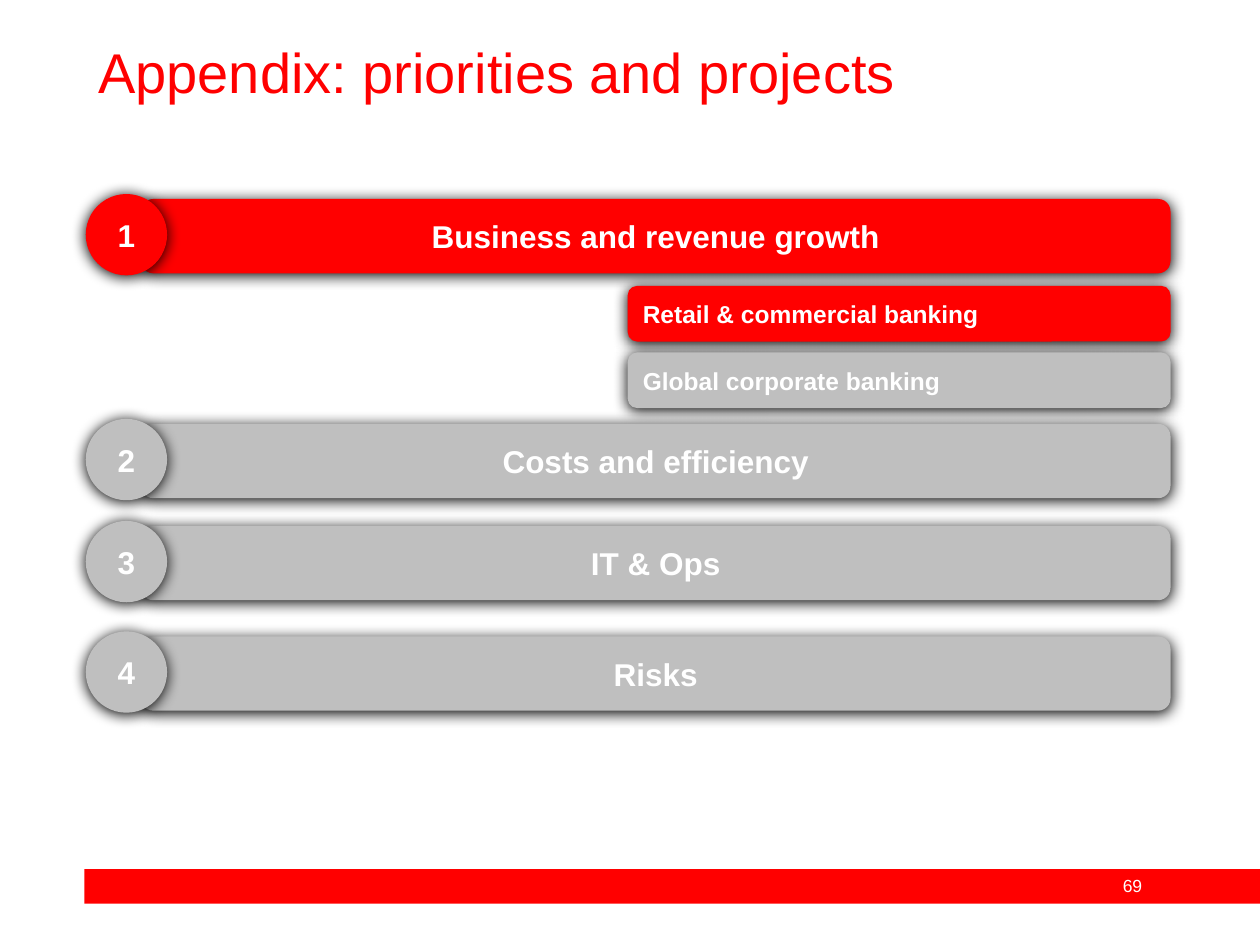
"""Build the appendix agenda slide with four priorities and two sub-topics."""
from lxml.etree import SubElement
from pptx import Presentation
from pptx.dml.color import RGBColor
from pptx.enum.shapes import MSO_SHAPE
from pptx.enum.text import MSO_ANCHOR, PP_ALIGN
from pptx.oxml.ns import qn
from pptx.util import Pt

RED = RGBColor(0xFF, 0x00, 0x00)
GREY = RGBColor(0xBF, 0xBF, 0xBF)
WHITE = RGBColor(0xFF, 0xFF, 0xFF)

TITLE = "Appendix: priorities and projects"
PAGE_NUMBER = "69"
PRIORITIES = [
    ("Business and revenue growth", 113.7, RED),
    ("Costs and efficiency", 242.2, GREY),
    ("IT & Ops", 300.5, GREY),
    ("Risks", 363.6, GREY),
]
SUBTOPICS = [("Retail & commercial banking", RED), ("Global corporate banking", GREY)]

RIGHT_EDGE = 668.9
BAR_LEFT, BAR_HEIGHT = 80.6, 42.5
CIRCLE_LEFT, CIRCLE_SIZE, CIRCLE_RISE = 49, 46.5, 2.8
SUBTOPIC_LEFT, SUBTOPIC_TOP, SUBTOPIC_HEIGHT, SUBTOPIC_PITCH = 358.7, 163.4, 31.8, 38


def write(shape, text, size, color, alignment, bold=False):
    text_frame = shape.text_frame
    text_frame.word_wrap = True
    text_frame.text = text
    paragraph = text_frame.paragraphs[0]
    paragraph.alignment = alignment
    font = paragraph.runs[0].font
    font.name, font.size, font.bold = "Arial", Pt(size), bold
    font.color.rgb = color
    return paragraph


def add_filled(shapes, kind, box, color):
    shape = shapes.add_shape(kind, *map(Pt, box))
    shape.shadow.inherit = False
    shape.fill.solid()
    shape.fill.fore_color.rgb = color
    shape.line.fill.background()
    return shape


def add_shadow(shape):
    effects = shape._element.spPr.find(qn("a:effectLst"))
    shadow = SubElement(effects, qn("a:outerShdw"), blurRad=str(Pt(8.5)),
                        dist=str(Pt(1)), dir="5400000", rotWithShape="0")
    SubElement(shadow, qn("a:srgbClr"), val="000000")


def add_label(shapes, kind, box, color, text, size, alignment=PP_ALIGN.CENTER):
    shape = add_filled(shapes, kind, box, color)
    add_shadow(shape)
    shape.text_frame.vertical_anchor = MSO_ANCHOR.MIDDLE
    write(shape, text, size, WHITE, alignment, bold=True)


def main():
    presentation = Presentation()
    presentation.slide_width, presentation.slide_height = Pt(720), Pt(540)
    slide = presentation.slides.add_slide(presentation.slide_layouts[6])
    shapes = slide.shapes

    add_filled(shapes, MSO_SHAPE.RECTANGLE, (48.2, 496.6, 671.8, 19.8), RED)
    page_box = shapes.add_textbox(Pt(627), Pt(496.6), Pt(40.3), Pt(19.4))
    write(page_box, PAGE_NUMBER, 10, WHITE, PP_ALIGN.CENTER)

    title_box = shapes.add_textbox(Pt(49), Pt(22.3), Pt(620.6), Pt(41))
    write(title_box, TITLE, 32, RED, PP_ALIGN.LEFT).line_spacing = 0.9

    for number, (label, top, color) in enumerate(PRIORITIES, start=1):
        group = shapes.add_group_shape()
        bar = (BAR_LEFT, top, RIGHT_EDGE - BAR_LEFT, BAR_HEIGHT)
        add_label(group.shapes, MSO_SHAPE.ROUNDED_RECTANGLE, bar, color, label, 18)
        circle = (CIRCLE_LEFT, top - CIRCLE_RISE, CIRCLE_SIZE, CIRCLE_SIZE)
        add_label(group.shapes, MSO_SHAPE.OVAL, circle, color, str(number), 18)

    for index, (label, color) in enumerate(SUBTOPICS):
        box = (SUBTOPIC_LEFT, SUBTOPIC_TOP + index * SUBTOPIC_PITCH,
               RIGHT_EDGE - SUBTOPIC_LEFT, SUBTOPIC_HEIGHT)
        add_label(shapes, MSO_SHAPE.ROUNDED_RECTANGLE, box, color, label, 14, PP_ALIGN.LEFT)

    presentation.save("out.pptx")


if __name__ == "__main__":
    main()
